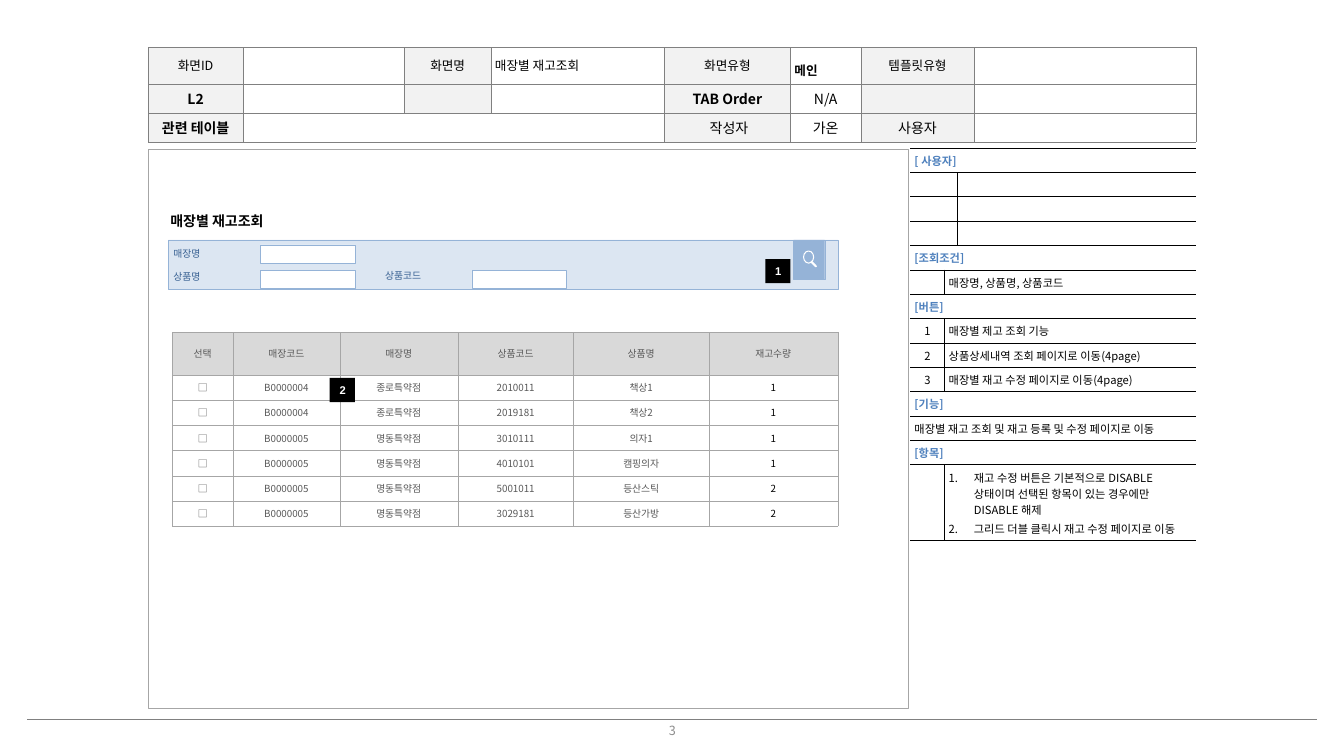
"""Screen specification slide for the store stock inquiry page."""
from lxml import etree
from pptx import Presentation
from pptx import util as u
from pptx.dml.color import RGBColor
from pptx.enum import shapes, text
from pptx.oxml.ns import qn

COLORS = {
    "black": "000000", "white": "FFFFFF", "gray": "808080", "mid": "A6A6A6",
    "page": "8C8C8C", "label": "F2F2F2", "head": "D9D9D9", "body": "595959",
    "section": "4F81BD", "panel": "DCE6F2", "edge": "95B3D7", "field": "376092",
}
RGB = {name: RGBColor.from_string(value) for name, value in COLORS.items()}
KR = "Noto Sans CJK KR"
LEFT, CENTER = text.PP_ALIGN.LEFT, text.PP_ALIGN.CENTER
MIDDLE, TOP = text.MSO_ANCHOR.MIDDLE, text.MSO_ANCHOR.TOP
RECT = shapes.MSO_SHAPE.RECTANGLE


def write(p, words, size, color="black", bold=False, align=LEFT, font=KR):
    """Put words in a paragraph and set its font."""
    p.text = words
    p.alignment = align
    p.font.size, p.font.bold, p.font.name = u.Pt(size), bold, font
    p.font.color.rgb = RGB[color]
    etree.SubElement(p._p.pPr.find(qn("a:defRPr")), qn("a:ea"), typeface=font)
    if not words:
        etree.SubElement(p._p, qn("a:endParaRPr"), sz=str(size * 100))


def dress(cell, fill, sides, line, width, inset, anchor=MIDDLE):
    """Set the borders, fill, margins and anchor of a table cell."""
    tcPr = cell._tc.get_or_add_tcPr()
    for side in "LRTB":
        ln = etree.SubElement(tcPr, qn("a:ln" + side), w=str(u.Pt(width)))
        if side in sides:
            solid = etree.SubElement(ln, qn("a:solidFill"))
            etree.SubElement(solid, qn("a:srgbClr"), val=COLORS[line])
        else:
            etree.SubElement(ln, qn("a:noFill"))
    cell.fill.solid()
    cell.fill.fore_color.rgb = RGB[fill]
    cell.margin_left = cell.margin_right = u.Inches(inset)
    cell.margin_top = cell.margin_bottom = u.Inches(inset)
    cell.vertical_anchor = anchor


prs = Presentation()
prs.slide_width, prs.slide_height = u.Inches(13.33), u.Inches(7.5)
s = prs.slides.add_slide(prs.slide_layouts[6])

rule = s.shapes.add_connector(shapes.MSO_CONNECTOR.STRAIGHT, u.Inches(0.27),
                              u.Inches(7.14), u.Inches(13.06), u.Inches(7.14))
rule.line.color.rgb, rule.line.width = RGB["gray"], u.Pt(1)
etree.SubElement(rule._element.spPr, qn("a:effectLst"))

info_rows = [
    ["화면ID", "", "화면명", "매장별 재고조회", "화면유형", "메인", "템플릿유형", ""],
    ["L2", "", "", "", "TAB Order", "N/A", "", ""],
    ["관련 테이블", "", "", "", " 작성자", "가온", "사용자", ""],
]
section_rows = [
    ("wide", "[ 사용자]"), ("user", ""), ("user", ""), ("user", ""),
    ("wide", "[조회조건]"), ("", "매장명, 상품명, 상품코드"),
    ("wide", "[버튼]"), ("1", "매장별 제고 조회 기능"),
    ("2", "상품상세내역 조회 페이지로 이동(4page)"),
    ("3", "매장별 재고 수정 페이지로 이동(4page)"),
    ("wide", "[기능]"), ("wide", "매장별 재고 조회 및 재고 등록 및 수정 페이지로 이동"),
    ("wide", "[항목]"),
    ("", "재고 수정 버튼은 기본적으로 DISABLE 상태이며 선택된 항목이 있는 경우에만 DISABLE 해제\n"
         "그리드 더블 클릭시 재고 수정 페이지로 이동"),
]
stock_rows = [
    ["선택", "매장코드", "매장명", "상품코드", "상품명", "재고수량"],
    ["□", "B0000004", "종로특약점", "2010011", "책상1", "1"],
    ["□", "B0000004", "종로특약점", "2019181", "책상2", "1"],
    ["□", "B0000005", "명동특약점", "3010111", "의자1", "1"],
    ["□", "B0000005", "명동특약점", "4010101", "캠핑의자", "1"],
    ["□", "B0000005", "명동특약점", "5001011", "등산스틱", "2"],
    ["□", "B0000005", "명동특약점", "3029181", "등산가방", "2"],
]

tables = {}
for name, x, y, widths, heights in [
    ("info", 1.47, 0.47, [0.94, 1.6, 0.86, 1.72, 1.25, 0.7, 1.12, 2.2], [0.36, 0.29, 0.29]),
    ("notes", 9.03, 1.47, [0.34, 0.13, 2.36], [0.24] * 13 + [0.74]),
    ("stock", 1.71, 3.3, [0.6, 1.06, 1.17, 1.15, 1.34, 1.28], [0.42] + [0.25] * 6),
]:
    table = s.shapes.add_table(len(heights), len(widths), u.Inches(x), u.Inches(y),
                               u.Inches(sum(widths)), u.Inches(sum(heights))).table
    table.first_row = table.horz_banding = False
    for column, width in zip(table.columns, widths):
        column.width = u.Inches(width)
    for row, height in zip(table.rows, heights):
        row.height = u.Inches(height)
    tables[name] = table

info = tables["info"]
info.cell(2, 1).merge(info.cell(2, 3))
for i, row in enumerate(info_rows):
    for j, words in enumerate(row):
        cell = info.cell(i, j)
        is_label = j in (0, 2, 4, 6) and (i, j) != (2, 2)
        dress(cell, "label" if is_label else "white", "LRTB", "gray", 0.25, 0.04)
        if i and j in (4, 5):
            cell.margin_top = cell.margin_bottom = 0
        bold = words in ("메인", "L2", "TAB Order", "관련 테이블")
        write(cell.text_frame.paragraphs[0], words, 10 if i else 9, bold=bold,
              align=LEFT if i == 0 and j in (3, 5) else CENTER)
info.cell(0, 5).text_frame.paragraphs[0].line_spacing = 1.5

notes = tables["notes"]
for i, (kind, words) in enumerate(section_rows):
    split = {"wide": 0, "user": 2}.get(kind, 1)
    if split == 0:
        notes.cell(i, 0).merge(notes.cell(i, 2))
    elif split == 1:
        notes.cell(i, 1).merge(notes.cell(i, 2))
    else:
        notes.cell(i, 0).merge(notes.cell(i, 1))
    for j in range(3):
        cell = notes.cell(i, j)
        dress(cell, "white", "LTB" if j and j == split else "TB", "black", 0.75, 0.04, TOP)
        if j != split:
            write(cell.text_frame.paragraphs[0], kind if j == 0 and kind.isdigit() else "",
                  8, align=CENTER)
            continue
        is_title = words.startswith("[")
        for k, line in enumerate(words.split("\n")):
            tf = cell.text_frame
            p = tf.add_paragraph() if k else tf.paragraphs[0]
            write(p, line, 8, "section" if is_title else "black", is_title)
            p.space_before = u.Pt(1.6)
            if "\n" in words:
                pPr = p._p.pPr
                pPr.set("marL", str(u.Inches(0.25)))
                pPr.set("indent", str(u.Inches(-0.25)))
                number = etree.Element(qn("a:buAutoNum"), type="arabicPeriod")
                pPr.find(qn("a:defRPr")).addprevious(number)

for i, row in enumerate(stock_rows):
    for j, words in enumerate(row):
        cell = tables["stock"].cell(i, j)
        dress(cell, "white" if i else "head", "LRTB", "mid", 0.25, 0)
        write(cell.text_frame.paragraphs[0], words, 7,
              "black" if i and j == 5 else "body", align=CENTER)

icon = s.shapes.add_group_shape()
oval, pill = shapes.MSO_SHAPE.OVAL, shapes.MSO_SHAPE.ROUNDED_RECTANGLE
for parent, kind, x, y, w, h, fill, line, width, badge in [
    (s, RECT, 1.47, 1.48, 7.54, 5.55, None, "mid", 0.25, ""),
    (s, RECT, 1.67, 2.38, 6.64, 0.49, "panel", "edge", 0.25, ""),
    (icon, RECT, 7.87, 2.38, 0.31, 0.39, "edge", "edge", 0.25, ""),
    (icon, pill, 8.03, 2.61, 0.08, 0.02, "white", None, 0, ""),
    (icon, oval, 7.97, 2.49, 0.1, 0.12, None, "white", 0.75, ""),
    (s, RECT, 2.58, 2.43, 0.94, 0.18, "white", "edge", 0.25, ""),
    (s, RECT, 2.58, 2.68, 0.94, 0.18, "white", "edge", 0.25, ""),
    (s, RECT, 4.68, 2.68, 0.94, 0.18, "white", "edge", 0.25, ""),
    (s, RECT, 7.59, 2.57, 0.25, 0.24, "black", None, 0, "1"),
    (s, RECT, 3.27, 3.75, 0.25, 0.24, "black", None, 0, "2"),
]:
    sp = parent.shapes.add_shape(kind, u.Inches(x), u.Inches(y), u.Inches(w), u.Inches(h))
    sp.shadow.inherit = False
    if fill:
        sp.fill.solid()
        sp.fill.fore_color.rgb = RGB[fill]
    else:
        sp.fill.background()
    if line:
        sp.line.color.rgb, sp.line.width = RGB[line], u.Pt(width)
    else:
        sp.line.fill.background()
    if kind == pill:
        sp.adjustments[0], sp.rotation = 0.5, 45
    if badge:
        write(sp.text_frame.paragraphs[0], badge, 8, "white", True, CENTER, "Arial")
s.shapes._spTree.append(icon._element)

for words, x, y, w, h, size, color, bold, align, anchor in [
    ("매장명", 1.72, 2.46, 0.82, 0.12, 7, "field", False, LEFT, TOP),
    ("상품명", 1.72, 2.69, 0.82, 0.12, 7, "field", False, LEFT, TOP),
    ("상품코드", 3.82, 2.68, 0.82, 0.12, 7, "field", False, LEFT, TOP),
    ("매장별 재고조회", 1.69, 2.11, 1.11, 0.17, 10, "black", True, LEFT, MIDDLE),
    ("3", 6.25, 7.14, 0.84, 0.21, 9, "page", False, CENTER, MIDDLE),
]:
    tf = s.shapes.add_textbox(u.Inches(x), u.Inches(y), u.Inches(w), u.Inches(h)).text_frame
    tf.margin_left = tf.margin_right = tf.margin_top = tf.margin_bottom = 0
    tf.word_wrap, tf.vertical_anchor = True, anchor
    write(tf.paragraphs[0], words, size, color, bold, align)

prs.save("out.pptx")
